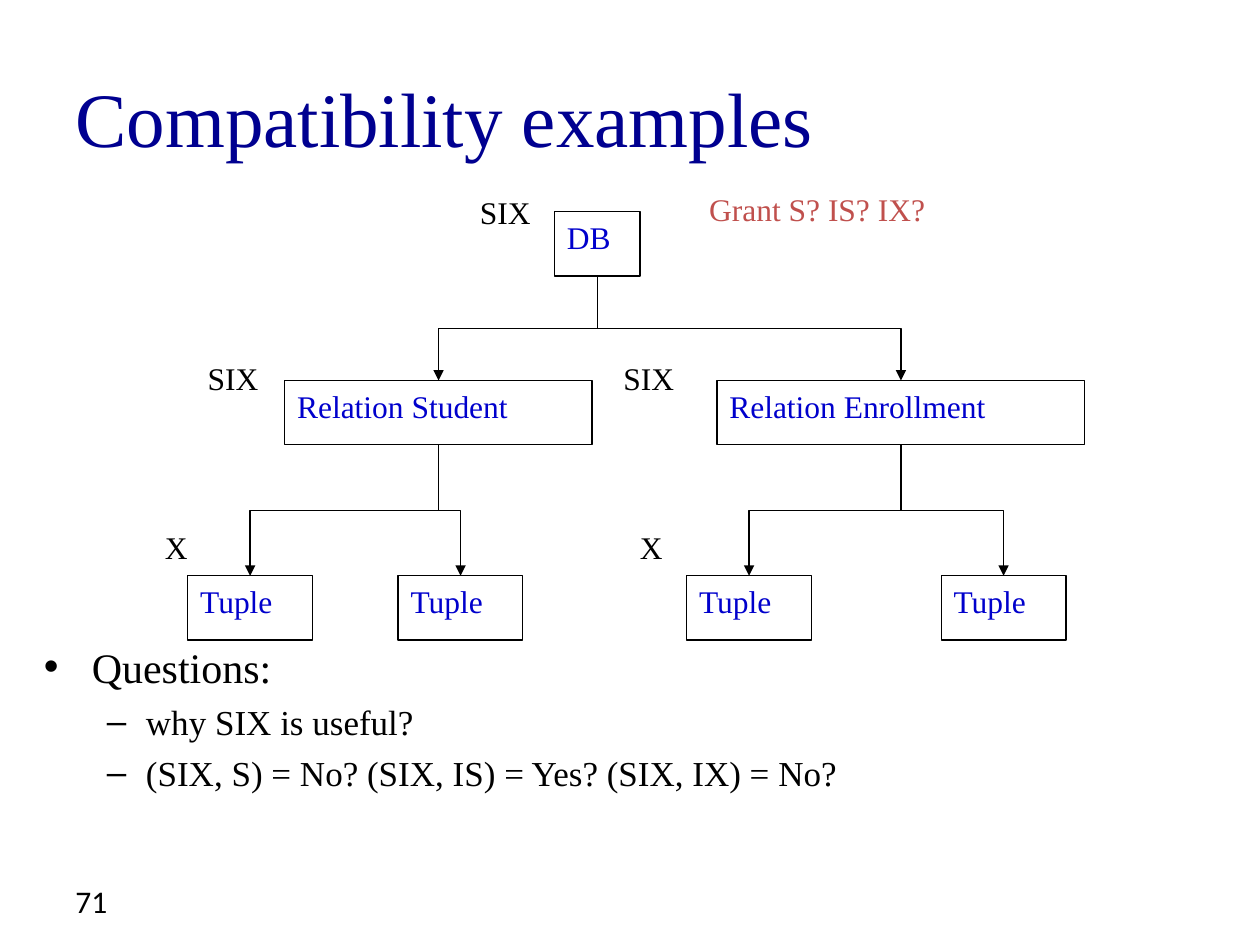
"""Build the lock compatibility slide: a granularity tree with lock labels and questions."""
from lxml import etree
from pptx import Presentation
from pptx.dml.color import RGBColor
from pptx.enum import shapes, text
from pptx.oxml import ns
from pptx.util import Inches, Pt

BLACK = RGBColor(0x00, 0x00, 0x00)
NAVY = RGBColor(0x00, 0x00, 0x90)
BLUE = RGBColor(0x00, 0x00, 0xCC)
RED = RGBColor(0xC0, 0x50, 0x4D)
SERIF = "Times New Roman"

TITLE = "Compatibility examples"
NODE_HEIGHT = 0.51
LEVEL_TOPS = [1.68, 3.02, 4.57]
NODES = {
    "db": ("DB", 0, 4.4, 0.68, None),
    "student": ("Relation Student", 1, 2.26, 2.44, "db"),
    "enrollment": ("Relation Enrollment", 1, 5.69, 2.92, "db"),
    "student tuple 1": ("Tuple", 2, 1.49, 0.99, "student"),
    "student tuple 2": ("Tuple", 2, 3.16, 0.99, "student"),
    "enrollment tuple 1": ("Tuple", 2, 5.45, 0.99, "enrollment"),
    "enrollment tuple 2": ("Tuple", 2, 7.47, 0.99, "enrollment"),
}
LABELS = [
    ("SIX", 3.71, 1.48, 0.74, BLACK),
    ("SIX", 1.55, 2.8, 0.74, BLACK),
    ("SIX", 4.85, 2.8, 0.74, BLACK),
    ("X", 1.21, 4.14, 0.44, BLACK),
    ("X", 4.98, 4.14, 0.44, BLACK),
    ("Grant S? IS? IX?", 5.53, 1.46, 2.49, RED),
]
QUESTIONS = [
    (0, "Questions:"),
    (1, "why SIX is useful?"),
    (1, "(SIX, S) = No? (SIX, IS) = Yes? (SIX, IX) = No?"),
]
BULLETS = [
    {"char": "•", "margin": 0.38, "hanging": 0.38, "size": 24},
    {"char": "–", "margin": 0.81, "hanging": 0.31, "size": 20},
]
PAGE_NUMBER = "71"


def set_font(para, size, color, name=SERIF):
    for key, value in {"size": Pt(size), "name": name}.items():
        setattr(para.font, key, value)
    para.font.color.rgb = color


def write(box, words, size, color, name=SERIF, anchor=text.MSO_ANCHOR.TOP):
    frame = box.text_frame
    formats = {"word_wrap": True, "auto_size": text.MSO_AUTO_SIZE.NONE, "vertical_anchor": anchor}
    for key, value in formats.items():
        setattr(frame, key, value)
    para = frame.paragraphs[0]
    para.text = words
    para.alignment = text.PP_ALIGN.LEFT
    set_font(para, size, color, name)


def add_text(page, place, *style):
    box = page.shapes.add_textbox(*map(Inches, place))
    write(box, *style)
    return box


def add_node(page, words, level, left, width):
    place = (left, LEVEL_TOPS[level], width, NODE_HEIGHT)
    box = page.shapes.add_shape(shapes.MSO_SHAPE.RECTANGLE, *map(Inches, place))
    box.shadow.inherit = False
    box.fill.background()
    box.line.color.rgb = BLACK
    box.line.width = Pt(0.75)
    write(box, words, 18, BLUE)
    return box


def add_branch(page, parent, child):
    start_x, start_y = parent.left + parent.width // 2, parent.top + parent.height
    end_x, end_y = child.left + child.width // 2, child.top
    branch = page.shapes.add_connector(
        shapes.MSO_CONNECTOR.ELBOW, start_x, start_y, end_x, end_y)
    branch.begin_connect(parent, 2)
    branch.end_connect(child, 0)
    length, spread = end_y - start_y, abs(end_x - start_x)
    branch.left = (start_x + end_x - length) // 2
    branch.top = (start_y + end_y - spread) // 2
    branch.width, branch.height = length, spread
    turn = {"rot": "5400000"}
    if end_x > start_x:
        turn = {"rot": "16200000", "flipH": "1"}
    properties = branch._element.spPr
    frame = properties.find(ns.qn("a:xfrm"))
    frame.attrib.pop("flipH", None)
    frame.attrib.update(turn)
    branch.line.color.rgb = BLACK
    branch.line.width = Pt(0.75)
    line = properties.find(ns.qn("a:ln"))
    etree.SubElement(line, ns.qn("a:tailEnd"), type="triangle")
    etree.SubElement(properties, ns.qn("a:effectLst"))


def add_questions(page):
    box = page.shapes.add_textbox(*map(Inches, (0.25, 5.04, 9.75, 2.21)))
    frame = box.text_frame
    frame.word_wrap = True
    for index, (level, words) in enumerate(QUESTIONS):
        para = frame.add_paragraph() if index else frame.paragraphs[0]
        bullet = BULLETS[level]
        para.text = words
        para.level = level
        para.space_before = Pt(5 if index else 0)
        properties = para._p.get_or_add_pPr()
        properties.set("marL", str(Inches(bullet["margin"])))
        properties.set("indent", str(-Inches(bullet["hanging"])))
        etree.SubElement(properties, ns.qn("a:buFont"), typeface="Arial")
        etree.SubElement(properties, ns.qn("a:buChar"), char=bullet["char"])
        set_font(para, bullet["size"], BLACK)


def main():
    deck = Presentation()
    deck.slide_width, deck.slide_height = Inches(10), Inches(7.5)
    page = deck.slides.add_slide(deck.slide_layouts[5])

    title = page.shapes.title
    title.left, title.top, title.width, title.height = map(Inches, (0.5, 0.3, 9, 1.25))
    write(title, TITLE, 44, NAVY, SERIF, text.MSO_ANCHOR.MIDDLE)

    boxes = {}
    for key, (words, level, left, width, parent) in NODES.items():
        boxes[key] = add_node(page, words, level, left, width)
        if parent:
            add_branch(page, boxes[parent], boxes[key])
    for words, left, top, width, color in LABELS:
        add_text(page, (left, top, width, 0.5), words, 18, color)

    add_questions(page)
    add_text(page, (0.5, 6.95, 2.33, 0.4), PAGE_NUMBER, 18, BLACK, "Calibri")
    deck.save("out.pptx")


if __name__ == "__main__":
    main()
